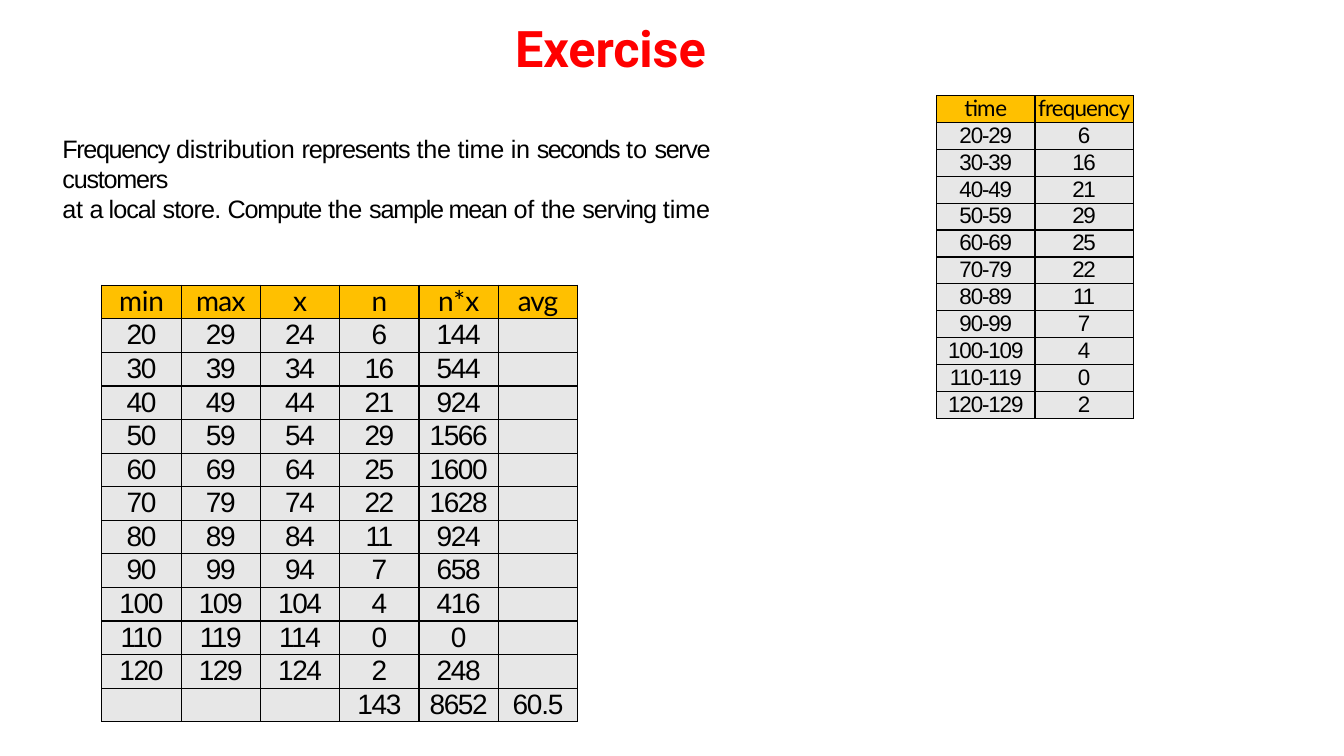
import pptx
import pptx.dml.color
import pptx.enum.text
import pptx.oxml
import pptx.oxml.ns
import pptx.util

Inches = pptx.util.Inches
Pt = pptx.util.Pt
RGBColor = pptx.dml.color.RGBColor
RED = RGBColor(0xFF, 0x00, 0x00)
BLACK = RGBColor(0x00, 0x00, 0x00)
GOLD = RGBColor(0xFF, 0xC0, 0x00)
GREY = RGBColor(0xE7, 0xE7, 0xE7)

LOWS = range(20, 121, 10)
COUNTS = [6, 16, 21, 29, 25, 22, 11, 7, 4, 0, 2]
PROMPT = [
    [("Frequency ", -1), ("distribution ", -0.2), ("represents ", -0.8),
     ("the time in ", -0.2), ("seconds ", -1.2), ("to ", 0.1),
     ("serve ", -1), ("customers", -0.9)],
    [("at ", -0.3), ("a ", -1.4), ("local ", -0.7), ("store. ", -0.6),
     ("Compute ", -0.9), ("the ", -0.2), ("sample mean ", -0.9),
     ("of ", -0.1), ("the ", -0.2), ("serving ", -0.8), ("time", -0.1)],
]


def write(para, parts, size, font="Arial", color=BLACK, bold=False,
          before=0, pitch=None, center=False, indent=0):
    para.space_before = Pt(before)
    if pitch:
        para.line_spacing = Pt(pitch)
    if center:
        para.alignment = pptx.enum.text.PP_ALIGN.CENTER
    props = para._p.get_or_add_pPr()
    props.set("marL", str(Inches(indent)))
    props.set("indent", "0")
    for text, track in parts:
        run = para.add_run()
        run.text = text
        run.font.size = Pt(size)
        run.font.name = font
        run.font.bold = bold
        run.font.color.rgb = color
        run._r.get_or_add_rPr().set("spc", str(round(track * 100)))


def add_text(slide, box, lines, befores, **style):
    shape = slide.shapes.add_textbox(*map(Inches, box))
    frame = shape.text_frame
    frame.word_wrap = True
    frame.margin_left = frame.margin_right = frame.margin_bottom = 0
    frame.margin_top = Inches(0.01)
    for i, (parts, before) in enumerate(zip(lines, befores)):
        para = frame.add_paragraph() if i else frame.paragraphs[0]
        write(para, parts, before=before, indent=0.01, **style)


def edge(cell):
    props = cell._tc.get_or_add_tcPr()
    for i, side in enumerate(("lnL", "lnR", "lnT", "lnB")):
        props.insert(i, pptx.oxml.parse_xml(
            f'<a:{side} {pptx.oxml.ns.nsdecls("a")} w="{Pt(1)}">'
            f'<a:solidFill><a:srgbClr val="{BLACK}"/></a:solidFill></a:{side}>'))


def add_grid(slide, box, heads, rows, tracks, size, pitch):
    left, top, width, height = map(Inches, box)
    table = slide.shapes.add_table(
        len(rows) + 1, len(heads), left, top, width, height).table
    for col in table.columns:
        col.width = width // len(heads)
    for row in table.rows:
        row.height = height // (len(rows) + 1)
    body = [[(str(value), track if len(str(value)) > 1 else 0)
             for value, track in zip(row, tracks)] for row in rows]
    for i, row in enumerate([heads] + body):
        for j, part in enumerate(row):
            cell = table.cell(i, j)
            cell.margin_left = cell.margin_right = 0
            cell.margin_top = cell.margin_bottom = 0
            cell.fill.solid()
            cell.fill.fore_color.rgb = GREY if i else GOLD
            edge(cell)
            write(cell.text_frame.paragraphs[0], [part] if part[0] else [],
                  size, font="Arial" if i else "Lato", pitch=pitch, center=True)


def add_tally(slide, box):
    rows = [(f"{low}-{low + 9}", n) for low, n in zip(LOWS, COUNTS)]
    add_grid(slide, box, [("time", -0.2), ("frequency", -0.6)], rows,
             (-0.8, -0.9), 16, 18.2)


def add_means(slide, box):
    heads = [("min", -0.2), ("max", -0.5), ("x", 0), ("n", 0),
             ("n*x", 0.1), ("avg", -0.8)]
    rows = [(low, low + 9, low + 4, n, n * (low + 4), "")
            for low, n in zip(LOWS, COUNTS)]
    count = sum(COUNTS)
    total = sum(row[4] for row in rows)
    rows.append(("", "", "", count, total, f"{total / count:.1f}"))
    add_grid(slide, box, heads, rows, (-1, -1, -1, -1, -1, -0.9), 20, 22.8)


def main():
    deck = pptx.Presentation()
    deck.slide_width = Inches(13.33)
    deck.slide_height = Inches(7.5)
    slide = deck.slides.add_slide(deck.slide_layouts[6])
    add_text(slide, (5.1, 0.16, 2.12, 0.63), [[("Exercis", -0.1), ("e", 0)]],
             [1], size=36, font="Roboto", color=RED, bold=True)
    add_tally(slide, (9.29, 0.95, 1.95, 3.2))
    add_text(slide, (0.61, 1.31, 7.49, 0.63), PROMPT, [1, 0.1], size=18)
    add_means(slide, (1.01, 2.83, 4.72, 4.33))
    deck.save("out.pptx")


if __name__ == "__main__":
    main()
